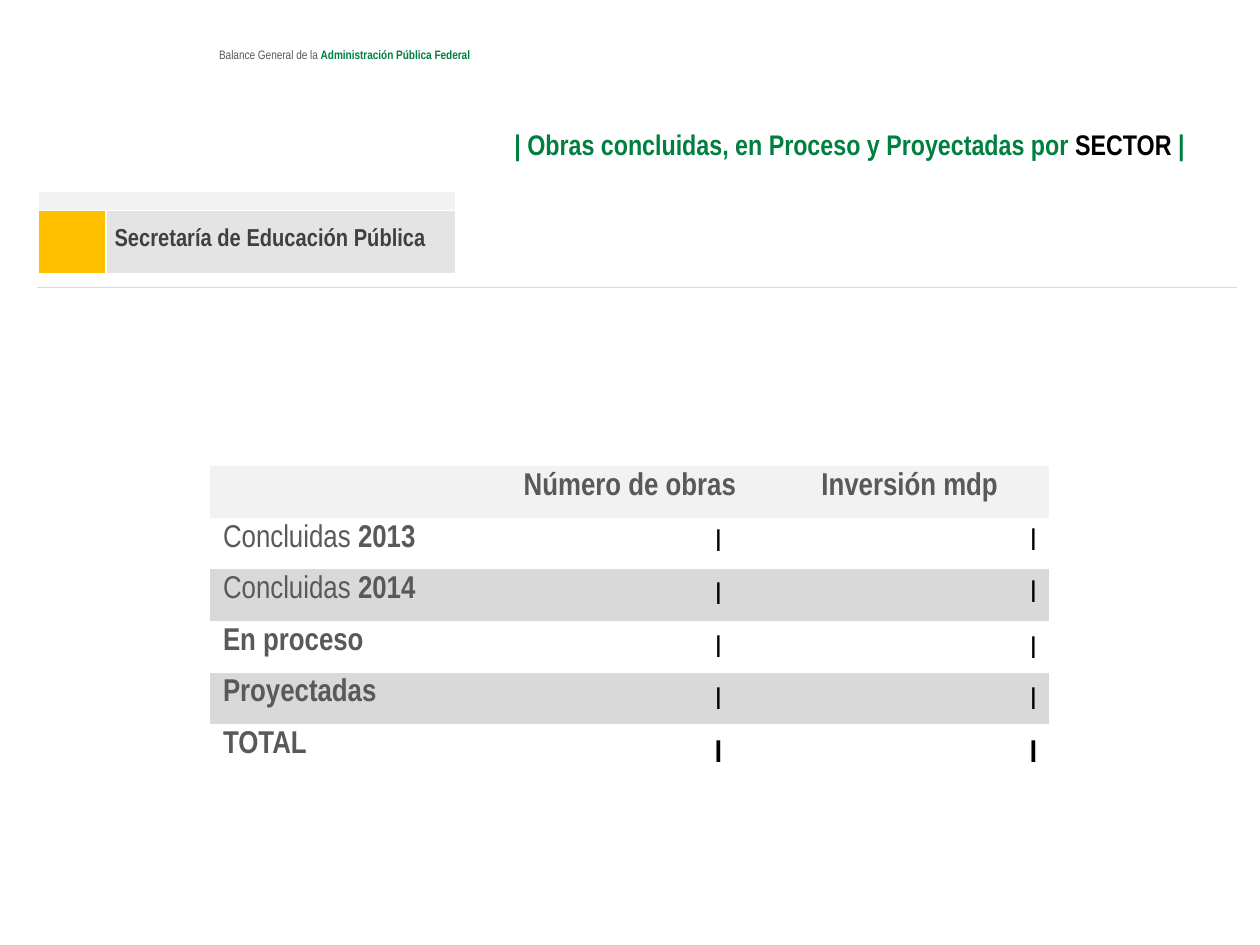
"""Build the sector works slide of the public education ministry."""
from dataclasses import dataclass

from lxml.etree import SubElement
from pptx import Presentation
from pptx.dml.color import RGBColor
from pptx.enum.text import MSO_ANCHOR, PP_ALIGN
from pptx.oxml.ns import qn
from pptx.util import Inches, Pt


@dataclass(frozen=True)
class Theme:
    font: str = "Arial Narrow"
    green: str = "008040"
    black: str = "000000"
    white: str = "FFFFFF"
    body: str = "595959"
    heading: str = "404040"
    pale: str = "F2F2F2"
    band: str = "D9D9D9"
    label: str = "E4E4E4"
    amber: str = "FFC000"
    tiny: float = 1
    header: float = 7
    sector: float = 14
    title: float = 16.2
    table: float = 18


class SlideBuilder:
    def __init__(self, slide, theme):
        self.slide = slide
        self.theme = theme

    def add_runs(self, frame, runs, size, align=PP_ALIGN.LEFT, spacing=None):
        paragraph = frame.paragraphs[0]
        paragraph.alignment = align
        if spacing:
            paragraph.line_spacing = spacing
        for words, color, bold in runs:
            run = paragraph.add_run()
            run.text = words
            run.font.name = self.theme.font
            run.font.size = Pt(size)
            run.font.bold = bold
            run.font.color.rgb = RGBColor.from_string(color)

    def text(self, box, runs, size, align=PP_ALIGN.LEFT, spacing=None, anchor=MSO_ANCHOR.TOP):
        frame = self.slide.shapes.add_textbox(*map(Inches, box)).text_frame
        frame.word_wrap = True
        frame.vertical_anchor = anchor
        self.add_runs(frame, runs, size, align, spacing)

    def table(self, left, top, widths, heights):
        grid = self.slide.shapes.add_table(
            len(heights), len(widths), Inches(left), Inches(top),
            Inches(sum(widths)), Inches(sum(heights))).table
        grid.first_row = grid.horz_banding = False
        style = grid._tbl.tblPr.find(qn("a:tableStyleId"))
        style.text = "{2D5ABB26-0587-4C30-8999-92F81FD0307C}"
        for column, width in zip(grid.columns, widths):
            column.width = Inches(width)
        for row, height in zip(grid.rows, heights):
            row.height = Inches(height)
        return grid

    def fill(self, cell, color):
        if color:
            cell.fill.solid()
            cell.fill.fore_color.rgb = RGBColor.from_string(color)
        else:
            cell.fill.background()

    def shrink(self, cell):
        cell.margin_top = cell.margin_bottom = 0
        end = SubElement(cell.text_frame.paragraphs[0]._p, qn("a:endParaRPr"))
        end.set("sz", str(int(self.theme.tiny * 100)))

    def borders(self, cell, edges):
        properties = cell._tc.get_or_add_tcPr()
        for position, (side, (color, width)) in enumerate(edges.items()):
            line = SubElement(properties, qn(f"a:ln{side}"), w=str(int(Pt(width))))
            SubElement(SubElement(line, qn("a:solidFill")), qn("a:srgbClr"), val=color)
            properties.insert(position, line)


def add_sector_panel(builder):
    """Draw the sector label and the rule below it."""
    theme = builder.theme
    fills = [
        (theme.pale, theme.pale, None),
        (theme.amber, theme.label, None),
        (theme.white, theme.white, theme.white),
        (None, None, None),
    ]
    panel = builder.table(0.3, 1.52, [0.54, 2.78, 6.19], [0.15, 0.5, 0.11, 5])
    gap, hairline = (theme.white, 1), (theme.band, 0.25)
    for r, colors in enumerate(fills):
        for c, color in enumerate(colors):
            cell = panel.cell(r, c)
            builder.fill(cell, color)
            builder.borders(cell, {
                "L": gap, "R": gap,
                "T": hairline if r == 3 else gap,
                "B": hairline if r == 2 else gap,
            })
            if (r, c) != (1, 1):
                builder.shrink(cell)
    for r, last in ((0, 1), (2, 1), (3, 2)):
        panel.cell(r, 0).merge(panel.cell(r, last))
    sector = panel.cell(1, 1)
    sector.vertical_anchor = MSO_ANCHOR.MIDDLE
    sector.margin_left = sector.margin_right = Inches(0.07)
    sector.margin_top = sector.margin_bottom = 0
    builder.add_runs(sector.text_frame, [("Secretaría de Educación Pública", theme.heading, True)],
                     theme.sector, spacing=Pt(11))


def add_works_table(builder):
    """Draw the table of works by stage."""
    theme = builder.theme
    stages = [
        [("Concluidas ", theme.body, False), ("2013", theme.body, True)],
        [("Concluidas ", theme.body, False), ("2014", theme.body, True)],
        [("En proceso", theme.body, True)],
        [("Proyectadas", theme.body, True)],
        [("TOTAL", theme.body, True)],
    ]
    works = builder.table(1.67, 3.7, [2.22] * 3, [0.41] * 6)
    for r in range(6):
        color = theme.pale if r == 0 else theme.band if r % 2 == 0 else None
        for c in range(3):
            builder.fill(works.cell(r, c), color)
    for c, heading in enumerate(("Número de obras", "Inversión mdp"), 1):
        builder.add_runs(works.cell(0, c).text_frame, [(heading, theme.body, True)],
                         theme.table, PP_ALIGN.CENTER)
    for r, runs in enumerate(stages, 1):
        builder.add_runs(works.cell(r, 0).text_frame, runs, theme.table)


def add_marks(builder):
    """Place the right-aligned marks over the two value columns."""
    theme = builder.theme
    columns = [
        (4.16, 1.67, (4.08, 4.5, 4.92, 5.33, 5.75)),
        (6.57, 1.76, (4.07, 4.48, 4.93, 5.33, 5.75)),
    ]
    for left, width, tops in columns:
        for top in tops:
            builder.text((left, top, width, 0.4), [("I", theme.black, top == tops[-1])],
                         theme.table, PP_ALIGN.RIGHT)


def main():
    """Assemble and save the slide."""
    presentation = Presentation()
    presentation.slide_width, presentation.slide_height = Inches(10), Inches(7.5)
    theme = Theme()
    builder = SlideBuilder(presentation.slides.add_slide(presentation.slide_layouts[6]), theme)
    builder.text((1.64, 0.35, 4.49, 0.2), [
        ("Balance General de la ", theme.body, False),
        ("Administración Pública Federal", theme.green, True),
    ], theme.header, spacing=0.8)
    add_sector_panel(builder)
    add_works_table(builder)
    builder.text((0.5, 0.91, 9, 0.43), [
        ("| Obras concluidas, en Proceso y Proyectadas por ", theme.green, True),
        ("SECTOR ", theme.black, True),
        ("|", theme.green, True),
    ], theme.title, PP_ALIGN.RIGHT, 1.15, MSO_ANCHOR.MIDDLE)
    add_marks(builder)
    presentation.save("out.pptx")


if __name__ == "__main__":
    main()
